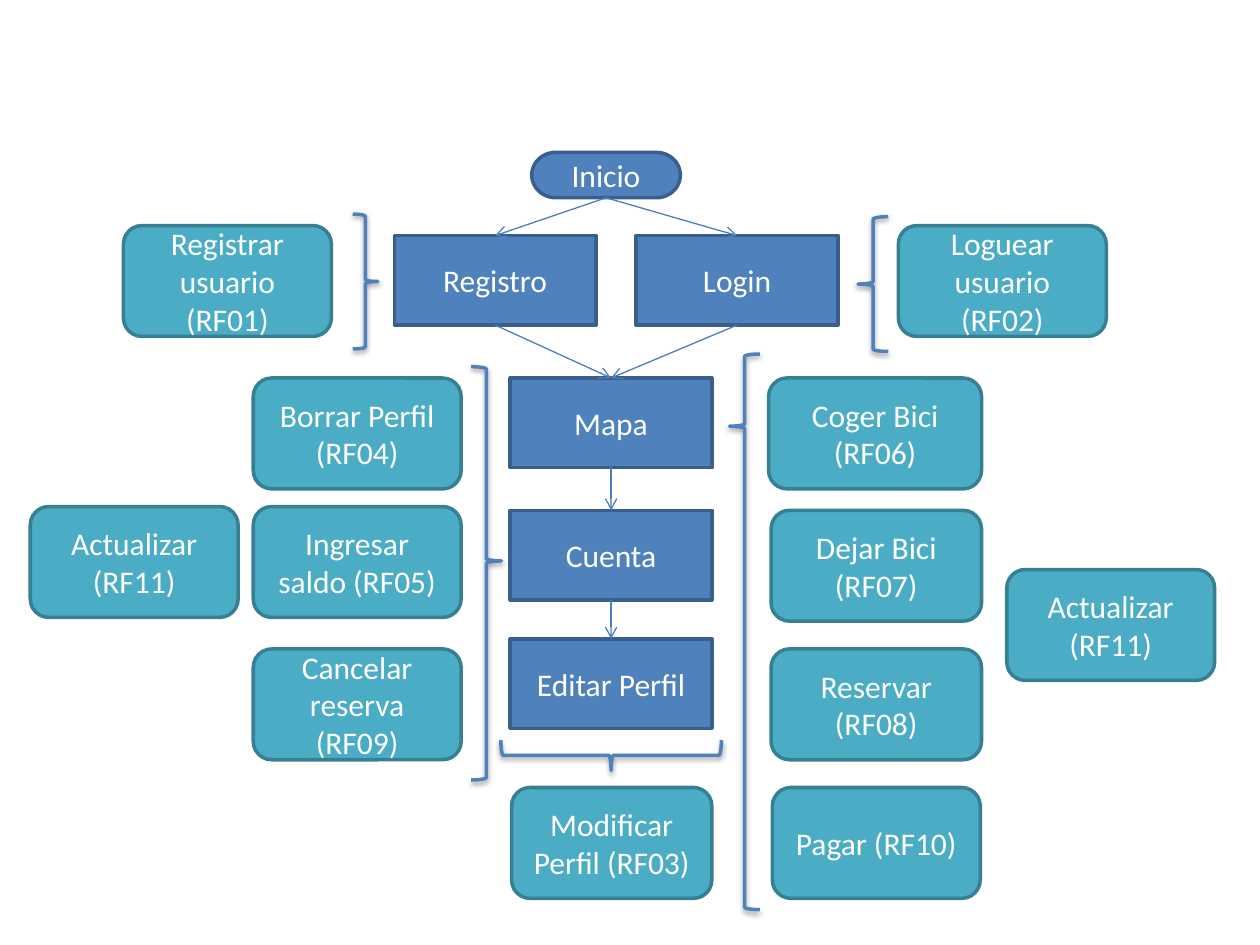
from lxml.etree import SubElement
from pptx import Presentation
from pptx.dml.color import RGBColor
from pptx.enum.shapes import MSO_CONNECTOR, MSO_SHAPE
from pptx.enum.text import MSO_ANCHOR, PP_ALIGN
from pptx.oxml.ns import qn
from pptx.util import Inches, Pt


def color(value):
    return RGBColor.from_string(value)


class FlowSlide:
    FONT, TEXT_SIZE, TEXT = "Calibri", 18, "FFFFFF"
    SCREEN, SCREEN_EDGE = "4F81BD", "3A5F8C"
    FUNCTION, FUNCTION_EDGE = "4BACC6", "377F92"
    ARROW = "4B7EBC"
    TOP, BOTTOM = 0, 2  # connection sites

    def __init__(self, slide):
        self.slide = slide

    def node(self, kind, text, box, fill, edge):
        shape = self.slide.shapes.add_shape(kind, *map(Inches, box))
        shape.shadow.inherit = False
        shape.fill.solid()
        shape.fill.fore_color.rgb = color(fill)
        shape.line.color.rgb = color(edge)
        shape.line.width = Pt(2)
        frame = shape.text_frame
        frame.word_wrap = True
        frame.vertical_anchor = MSO_ANCHOR.MIDDLE
        paragraph = frame.paragraphs[0]
        paragraph.text = text
        paragraph.alignment = PP_ALIGN.CENTER
        paragraph.font.name = self.FONT
        paragraph.font.size = Pt(self.TEXT_SIZE)
        paragraph.font.color.rgb = color(self.TEXT)
        return shape

    def screen(self, text, left, top):
        return self.node(MSO_SHAPE.FLOWCHART_PROCESS, text, (left, top, 1.6, 0.71),
                         self.SCREEN, self.SCREEN_EDGE)

    def function(self, text, left, top, width=1.65):
        return self.node(MSO_SHAPE.FLOWCHART_ALTERNATE_PROCESS, text,
                         (left, top, width, 0.88), self.FUNCTION, self.FUNCTION_EDGE)

    def arrow(self, source, target):
        line = self.slide.shapes.add_connector(MSO_CONNECTOR.STRAIGHT, 0, 0, 0, 0)
        line.begin_connect(source, self.BOTTOM)
        line.end_connect(target, self.TOP)
        line.line.color.rgb = color(self.ARROW)
        line.line.width = Pt(0.75)
        SubElement(line.line._get_or_add_ln(), qn("a:tailEnd"), type="arrow")
        SubElement(line._element.spPr, qn("a:effectLst"))

    def brace(self, kind, box, rotation=0, tip=0.5):
        shape = self.slide.shapes.add_shape(kind, *map(Inches, box))
        shape.rotation = rotation
        shape.adjustments[1] = tip
        shape.fill.background()
        shape.line.color.rgb = color(self.SCREEN)
        shape.line.width = Pt(2)
        # Soft shadow straight below
        shape.shadow.inherit = False
        effects = shape._element.spPr.find(qn("a:effectLst"))
        shadow = SubElement(effects, qn("a:outerShdw"), blurRad=str(Pt(3.1)),
                            dist=str(Pt(1.6)), dir="5400000", rotWithShape="0")
        black = SubElement(shadow, qn("a:srgbClr"), val="000000")
        SubElement(black, qn("a:alpha"), val="38000")


presentation = Presentation()
presentation.slide_width, presentation.slide_height = Inches(10), Inches(7.5)
flow = FlowSlide(presentation.slides.add_slide(presentation.slide_layouts[6]))

# Screens
start = flow.node(MSO_SHAPE.FLOWCHART_TERMINATOR, "Inicio", (4.22, 1.21, 1.18, 0.36),
                  flow.SCREEN, flow.SCREEN_EDGE)
login = flow.screen("Login", 5.05, 1.87)
register = flow.screen("Registro", 3.13, 1.87)
city_map, account, edit_profile = [
    flow.screen(name, 4.05, top)
    for name, top in (("Mapa", 3), ("Cuenta", 4.05), ("Editar Perfil", 5.07))]

# Navigation between screens
for source, target in ((start, register), (start, login), (register, city_map),
                       (login, city_map), (city_map, account), (account, edit_profile)):
    flow.arrow(source, target)

# Functions of each screen
for text, left, top in (
        ("Registrar usuario (RF01)", 0.98, 1.79),
        ("Loguear usuario (RF02)", 7.13, 1.79),
        ("Borrar Perfil (RF04)", 2.01, 3),
        ("Ingresar saldo (RF05)", 2.01, 4.02),
        ("Cancelar reserva (RF09)", 2.01, 5.15),
        ("Pagar (RF10)", 6.13, 6.25),
        ("Actualizar (RF11)", 0.24, 4.02),
        ("Actualizar (RF11)", 7.99, 4.52)):
    flow.function(text, left, top)
flow.function("Modificar Perfil (RF03)", 4.06, 6.25, 1.59)
flow.function("Coger Bici (RF06)", 6.1, 3, 1.69)
flow.function("Dejar Bici (RF07)", 6.12, 4.05, 1.67)
flow.function("Reservar (RF08)", 6.12, 5.15, 1.67)

# Braces joining functions to screens
flow.brace(MSO_SHAPE.RIGHT_BRACE, (2.8, 1.7, 0.2, 1.07))
flow.brace(MSO_SHAPE.LEFT_BRACE, (6.81, 1.72, 0.24, 1.07))
flow.brace(MSO_SHAPE.LEFT_BRACE, (5.79, 2.81, 0.24, 4.41), tip=0.13)
flow.brace(MSO_SHAPE.LEFT_BRACE, (4.73, 5.12, 0.24, 1.75), rotation=270)
flow.brace(MSO_SHAPE.LEFT_BRACE, (3.74, 2.91, 0.24, 3.28), rotation=180, tip=0.53)

presentation.save("out.pptx")
